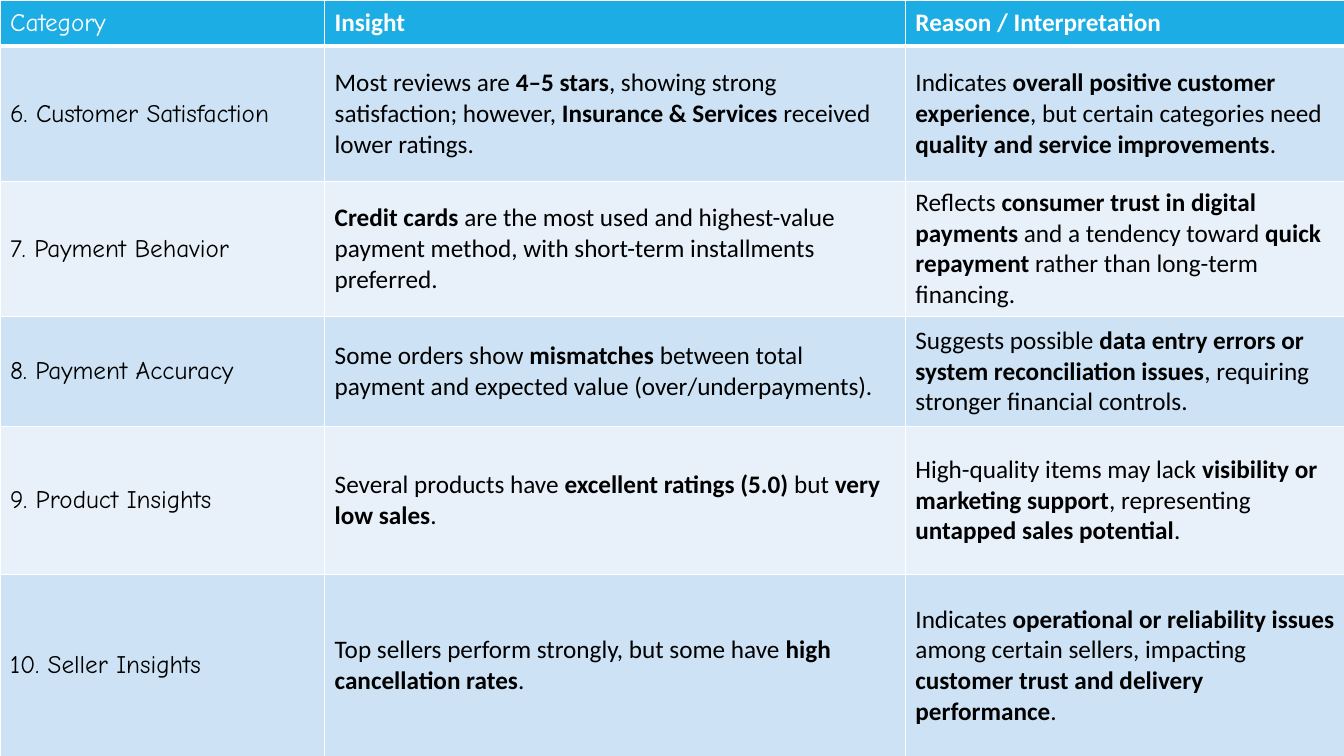
"""Build the slide with the table of customer, payment, product and seller insights."""
from copy import deepcopy
from lxml import etree
from pptx import Presentation
from pptx.dml.color import RGBColor
from pptx.enum.text import MSO_ANCHOR
from pptx.oxml.ns import qn
from pptx.util import Inches, Pt

MIDDLE = MSO_ANCHOR.MIDDLE
THEME = {
    "header": "1CADE4", "bands": ("CDE3F5", "E8F1FA"),
    "header_text": "FFFFFF", "text": "000000", "border": "FFFFFF",
    "background": ("515151", "2E2E2E", "000000"),
    "category_font": "Comic Neue", "body_font": "Calibri",
    "size": 18, "thin": 1, "thick": 3,
}
COLUMN_WIDTHS = (3.22, 5.76, 4.49)
ROW_HEIGHTS = (0.46, 1.34, 1.34, 1.09, 1.47, 1.81)
ROWS = (
    ("Category", "**Insight**", "**Reason / Interpretation**"),
    ("6. Customer Satisfaction",
     "Most reviews are **4–5 stars**, showing strong satisfaction; however, "
     "**Insurance & Services** received lower ratings.",
     "Indicates **overall positive customer experience**, but certain categories need "
     "**quality and service improvements**."),
    ("7. Payment Behavior",
     "**Credit cards** are the most used and highest-value payment method, "
     "with short-term installments preferred.",
     "Reflects **consumer trust in digital payments** and a tendency toward "
     "**quick repayment** rather than long-term financing."),
    ("8. Payment Accuracy",
     "Some orders show **mismatches** between total payment and expected value "
     "(over/underpayments).",
     "Suggests possible **data entry errors or system reconciliation issues**, "
     "requiring stronger financial controls."),
    ("9. Product Insights",
     "Several products have **excellent ratings (5.0)** but **very low sales**.",
     "High-quality items may lack **visibility or marketing support**, representing "
     "**untapped sales potential**."),
    ("10. Seller Insights",
     "Top sellers perform strongly, but some have **high cancellation rates**.",
     "Indicates **operational or reliability issues** among certain sellers, impacting "
     "**customer trust and delivery performance**."),
)


def add_text(text, *, p, font, color):
    """Add runs to a paragraph, with bold between double asterisks."""
    for i, part in enumerate(text.split("**")):
        if part:
            r = p.add_run()
            r.text = part
            r.font.name = font
            r.font.size = Pt(THEME["size"])
            r.font.bold = i % 2 == 1
            r.font.color.rgb = RGBColor.from_string(color)


def add_border(cell, side, width):
    """Draw one solid edge of a table cell."""
    ln = etree.SubElement(cell._tc.get_or_add_tcPr(), qn(f"a:ln{side}"), w=str(Pt(width)))
    fill = etree.SubElement(ln, qn("a:solidFill"))
    etree.SubElement(fill, qn("a:srgbClr"), val=THEME["border"])


prs = Presentation()
prs.slide_width = Inches(13.33)
prs.slide_height = Inches(7.5)
s = prs.slides.add_slide(prs.slide_layouts[6])

background = s.background.fill
background.gradient()
background.gradient_angle = 270
first_stop = next(s._element.iter(qn("a:gs")))
first_stop.addnext(deepcopy(first_stop))
for i, (stop, color) in enumerate(zip(background.gradient_stops, THEME["background"])):
    stop.position = i / 2
    stop.color.rgb = RGBColor.from_string(color)

table = s.shapes.add_table(len(ROWS), len(COLUMN_WIDTHS), Inches(0), Inches(0),
                           Inches(sum(COLUMN_WIDTHS)), Inches(sum(ROW_HEIGHTS))).table
for column, width in zip(table.columns, COLUMN_WIDTHS):
    column.width = Inches(width)

for i, (row, height) in enumerate(zip(ROWS, ROW_HEIGHTS)):
    table.rows[i].height = Inches(height)
    band = THEME["bands"][(i - 1) % 2] if i else THEME["header"]
    color = THEME["text"] if i else THEME["header_text"]
    for j, text in enumerate(row):
        cell = table.cell(i, j)
        cell.vertical_anchor = MIDDLE
        for side in "LRTB":
            under_header = (i, side) in ((0, "B"), (1, "T"))
            add_border(cell, side, THEME["thick" if under_header else "thin"])
        cell.fill.solid()
        cell.fill.fore_color.rgb = RGBColor.from_string(band)
        font = THEME["body_font" if j else "category_font"]
        add_text(text, p=cell.text_frame.paragraphs[0], font=font, color=color)

prs.save("out.pptx")
